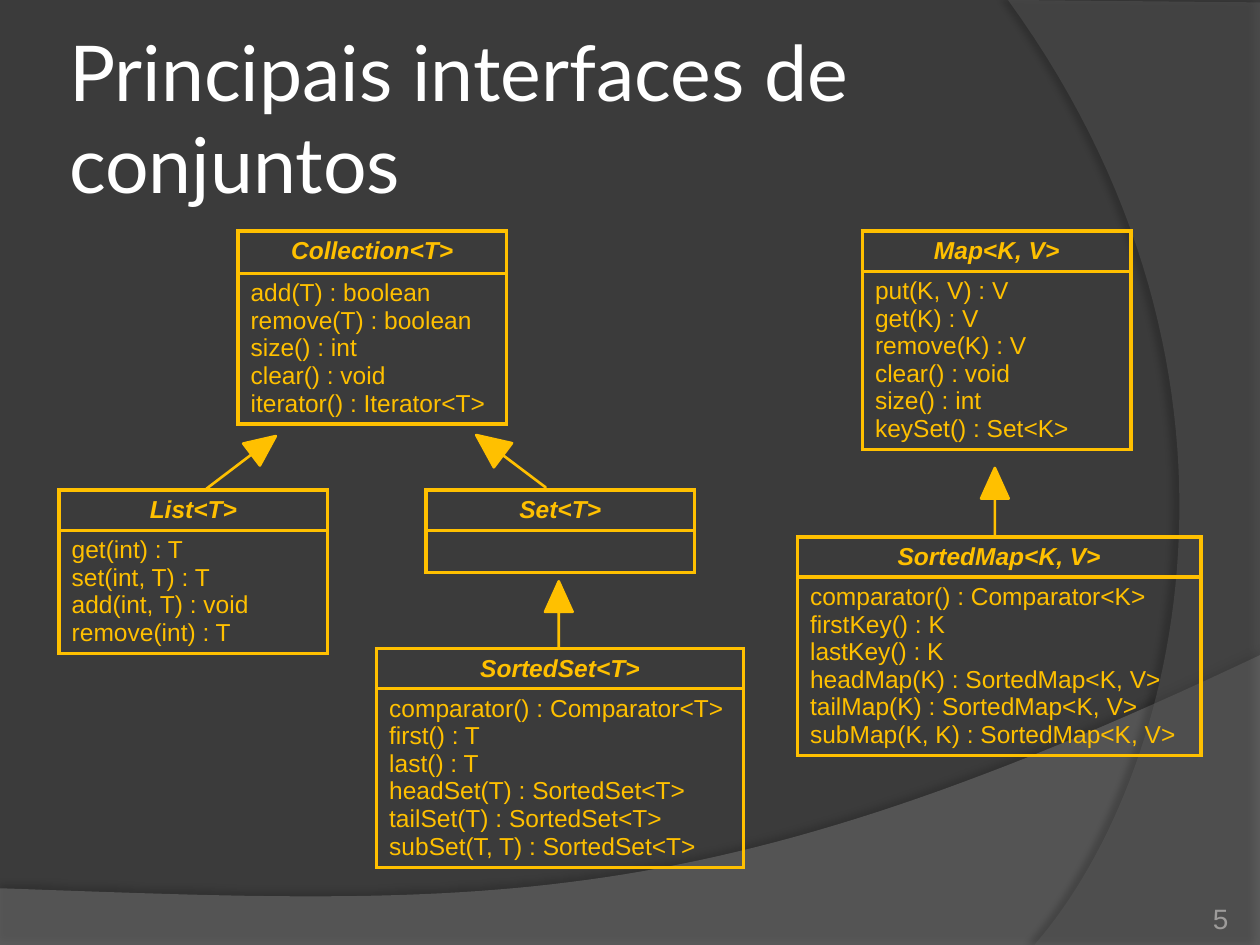
from dataclasses import dataclass

from lxml.etree import SubElement
from pptx import Presentation
from pptx.dml.color import RGBColor
from pptx.enum.shapes import MSO_SHAPE as Preset
from pptx.enum.text import MSO_ANCHOR as Anchor, PP_ALIGN as Align
from pptx.oxml.ns import qn
from pptx.util import Pt

COLORS = {
    "background": "3B3B3B",
    "title": "FFFFFF",
    "diagram": "FFC000",
    "wave": "7F7F7F",
    "arc": "5E5E5E",
    "page": "9D9B9A",
    "shadow": "000000",
}
BODY_FONT = "Arial"
LINE_HEIGHT = 15.8
CELL_PADDING = 7.2

Point = tuple[float, float]


@dataclass(frozen=True)
class Interface:
    name: str
    left: float
    top: float
    width: float
    methods: tuple[str, ...] = ()
    header: float = 23


@dataclass(frozen=True)
class Inheritance:
    left: float
    top: float
    length: float
    thickness: float
    rotation: float


@dataclass(frozen=True)
class Swoosh:
    color: str
    opacity: int
    outline: tuple[Point, ...]
    shadow_opacity: int
    shadow_distance: float
    shadow_angle: int


def bezier(a: Point, b: Point, c: Point, d: Point, steps: int = 60) -> tuple[Point, ...]:
    def at(t: float, axis: int) -> float:
        u = 1 - t
        return (u**3 * a[axis] + 3 * u * u * t * b[axis]
                + 3 * u * t * t * c[axis] + t**3 * d[axis])

    return tuple((at(i / steps, 0), at(i / steps, 1)) for i in range(steps + 1))


INTERFACES = (
    Interface("Collection<T>", 136, 132, 153.5,
              ("add(T) : boolean", "remove(T) : boolean", "size() : int",
               "clear() : void", "iterator() : Iterator<T>"), 24.2),
    Interface("Set<T>", 243.4, 280, 153.5),
    Interface("List<T>", 33.8, 280, 153.5,
              ("get(int) : T", "set(int, T) : T", "add(int, T) : void",
               "remove(int) : T")),
    Interface("SortedSet<T>", 215.2, 370.6, 209.7,
              ("comparator() : Comparator<T>", "first() : T", "last() : T",
               "headSet(T) : SortedSet<T>", "tailSet(T) : SortedSet<T>",
               "subSet(T, T) : SortedSet<T>")),
    Interface("Map<K, V>", 492.8, 132, 153.5,
              ("put(K, V) : V", "get(K) : V", "remove(K) : V", "clear() : void",
               "size() : int", "keySet() : Set<K>")),
    Interface("SortedMap<K, V>", 455.7, 306.8, 230.6,
              ("comparator() : Comparator<K>", "firstKey() : K", "lastKey() : K",
               "headMap(K) : SortedMap<K, V>", "tailMap(K) : SortedMap<K, V>",
               "subMap(K, K) : SortedMap<K, V>")),
)
INHERITANCES = (
    Inheritance(113, 256.3, 49.7, 15.8, 322.8),
    Inheritance(267.1, 254.9, 49.7, 17.3, 217),
    Inheritance(300.2, 343.4, 38.2, 15.8, 270),
    Inheritance(549.4, 278.6, 38.2, 15.8, 270),
)
SWOOSHES = (
    Swoosh("wave", 45,
           ((0, 507.6), (0, 540), (720, 540),
            *bezier((720, 374.4), (402.5, 524.9), (281.5, 517.7), (0, 507.6))),
           35, 3.5, 270),
    Swoosh("arc", 40,
           ((720, 1.4), (720, 540),
            *bezier((591.1, 540), (673.2, 445.7), (733, 216), (576, 0))),
           45, 4, 180),
)


def rgb(name: str) -> RGBColor:
    return RGBColor.from_string(COLORS[name])


def add_run(paragraph, text: str, size: float, color: str, font: str = BODY_FONT,
            emphasis: bool = False) -> None:
    run = paragraph.add_run()
    run.text = text
    run.font.size = Pt(size)
    run.font.name = font
    run.font.color.rgb = rgb(color)
    run.font.bold = run.font.italic = emphasis


def add_alpha(color_element, percent: int) -> None:
    SubElement(color_element, qn("a:alpha"), val=str(percent * 1000))


def draw_swoosh(slide, swoosh: Swoosh) -> None:
    start, *rest = [(Pt(x), Pt(y)) for x, y in swoosh.outline]
    builder = slide.shapes.build_freeform(*start)
    builder.add_line_segments(rest, close=True)
    shape = builder.convert_to_shape()
    shape.fill.solid()
    shape.fill.fore_color.rgb = rgb(swoosh.color)
    shape.line.fill.background()
    shape.shadow.inherit = False
    properties = shape._element.spPr
    add_alpha(properties.find(qn("a:solidFill"))[0], swoosh.opacity)
    shadow = SubElement(properties.find(qn("a:effectLst")), qn("a:outerShdw"),
                        blurRad=str(Pt(4)), dist=str(Pt(swoosh.shadow_distance)),
                        dir=str(swoosh.shadow_angle * 60000), rotWithShape="0")
    shade = SubElement(shadow, qn("a:srgbClr"), val=COLORS["shadow"])
    add_alpha(shade, swoosh.shadow_opacity)


def format_cell(cell) -> None:
    properties = cell._tc.get_or_add_tcPr()
    for side in ("lnL", "lnR", "lnT", "lnB"):
        border = SubElement(properties, qn(f"a:{side}"), w=str(Pt(2.25)))
        fill = SubElement(border, qn("a:solidFill"))
        SubElement(fill, qn("a:srgbClr"), val=COLORS["diagram"])
    cell.fill.background()


def draw_interface(slide, interface: Interface) -> None:
    body_height = LINE_HEIGHT * max(1, len(interface.methods)) + CELL_PADDING
    table = slide.shapes.add_table(
        2, 1, Pt(interface.left), Pt(interface.top), Pt(interface.width),
        Pt(interface.header + body_height)).table
    table.first_row = table.horz_banding = False
    table.rows[0].height = Pt(interface.header)
    table.rows[1].height = Pt(body_height)
    header, body = table.cell(0, 0), table.cell(1, 0)
    format_cell(header)
    format_cell(body)
    heading = header.text_frame.paragraphs[0]
    heading.alignment = Align.CENTER
    add_run(heading, interface.name, 14, "diagram", emphasis=True)
    paragraph = body.text_frame.paragraphs[0]
    if not interface.methods:
        SubElement(paragraph._p, qn("a:endParaRPr"), sz="1400")
    for index, method in enumerate(interface.methods):
        if index:
            paragraph = body.text_frame.add_paragraph()
        add_run(paragraph, method, 14, "diagram")


def draw_inheritance(slide, link: Inheritance) -> None:
    arrow = slide.shapes.add_shape(Preset.RIGHT_ARROW, Pt(link.left), Pt(link.top),
                                   Pt(link.length), Pt(link.thickness))
    arrow.adjustments[0] = 0
    arrow.adjustments[1] = 1.105
    arrow.rotation = link.rotation
    arrow.fill.solid()
    arrow.fill.fore_color.rgb = arrow.line.color.rgb = rgb("diagram")
    arrow.line.width = Pt(1.5)
    arrow.shadow.inherit = False


def set_margins(frame, margin: float) -> None:
    frame.margin_left = frame.margin_right = Pt(margin)
    frame.margin_top = frame.margin_bottom = Pt(margin)


def draw_title(slide, text: str) -> None:
    title = slide.shapes.title
    title.left, title.top, title.width, title.height = Pt(36), Pt(21.6), Pt(635.8), Pt(90)
    frame = title.text_frame
    frame.word_wrap = True
    frame.vertical_anchor = Anchor.MIDDLE
    set_margins(frame, 3.6)
    frame.paragraphs[0].alignment = Align.LEFT
    add_run(frame.paragraphs[0], text, 44, "title", "Lato")
    slide.shapes._spTree.append(title._element)


def draw_page_number(slide, number: str) -> None:
    frame = slide.shapes.add_textbox(Pt(642.2), Pt(505.4), Pt(59.8), Pt(28.8)).text_frame
    frame.word_wrap = True
    frame.vertical_anchor = Anchor.BOTTOM
    set_margins(frame, 0)
    frame.paragraphs[0].alignment = Align.RIGHT
    add_run(frame.paragraphs[0], number, 16, "page")


def main() -> None:
    deck = Presentation()
    deck.slide_width, deck.slide_height = Pt(720), Pt(540)
    slide = deck.slides.add_slide(deck.slide_layouts[5])
    slide.background.fill.solid()
    slide.background.fill.fore_color.rgb = rgb("background")
    for swoosh in SWOOSHES:
        draw_swoosh(slide, swoosh)
    draw_title(slide, "Principais interfaces de conjuntos")
    for interface in INTERFACES:
        draw_interface(slide, interface)
    for link in INHERITANCES:
        draw_inheritance(slide, link)
    draw_page_number(slide, "5")
    deck.save("out.pptx")


if __name__ == "__main__":
    main()
